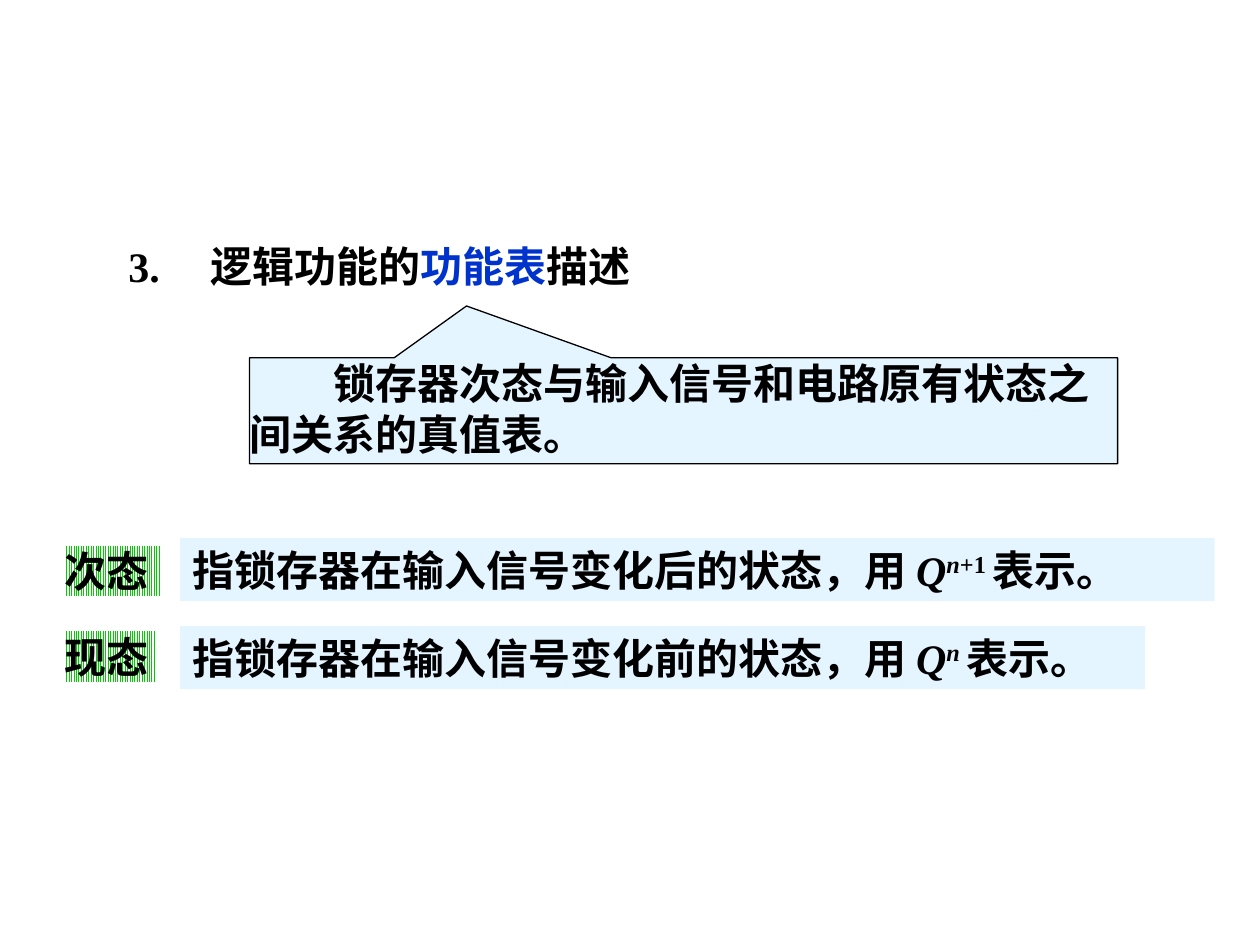
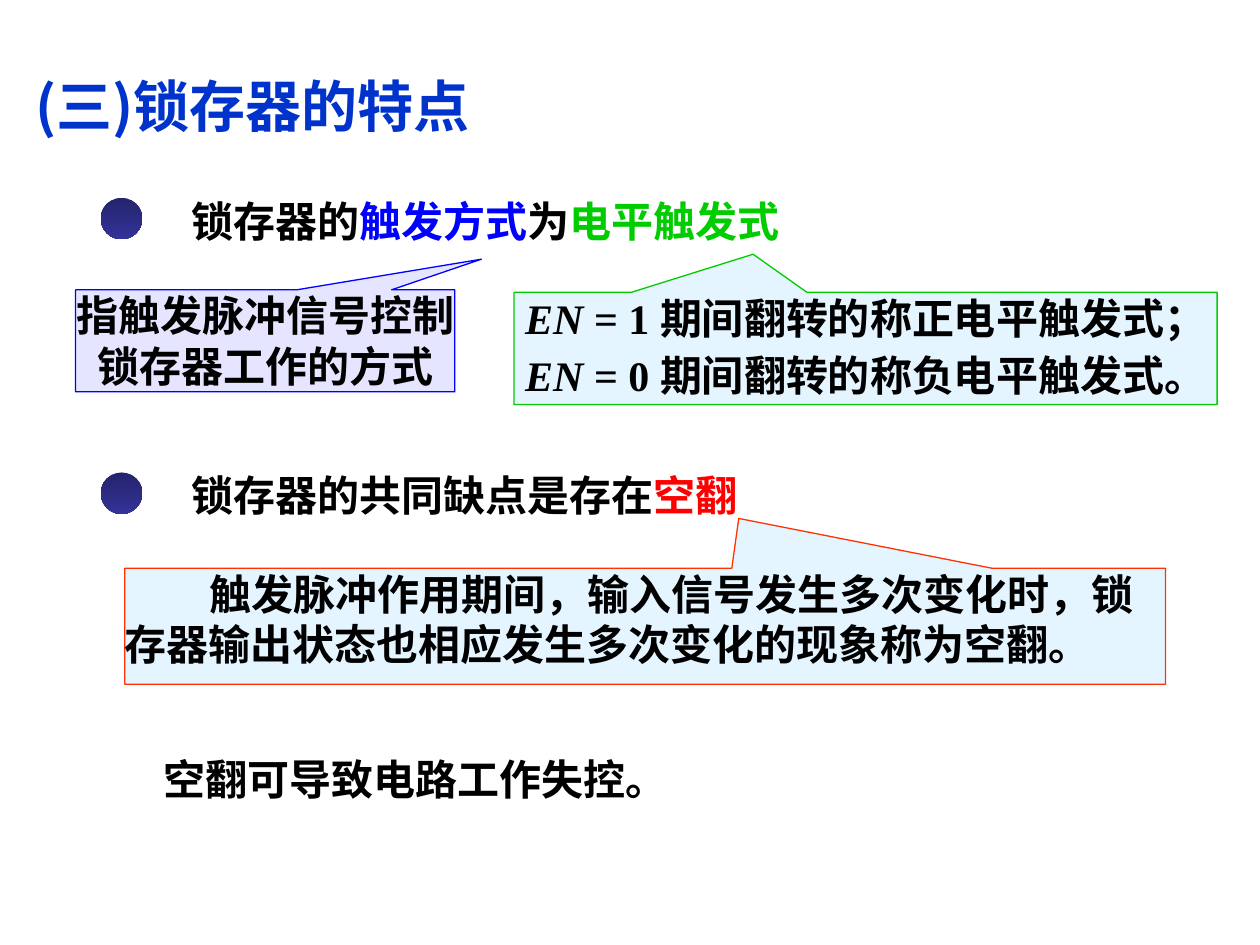
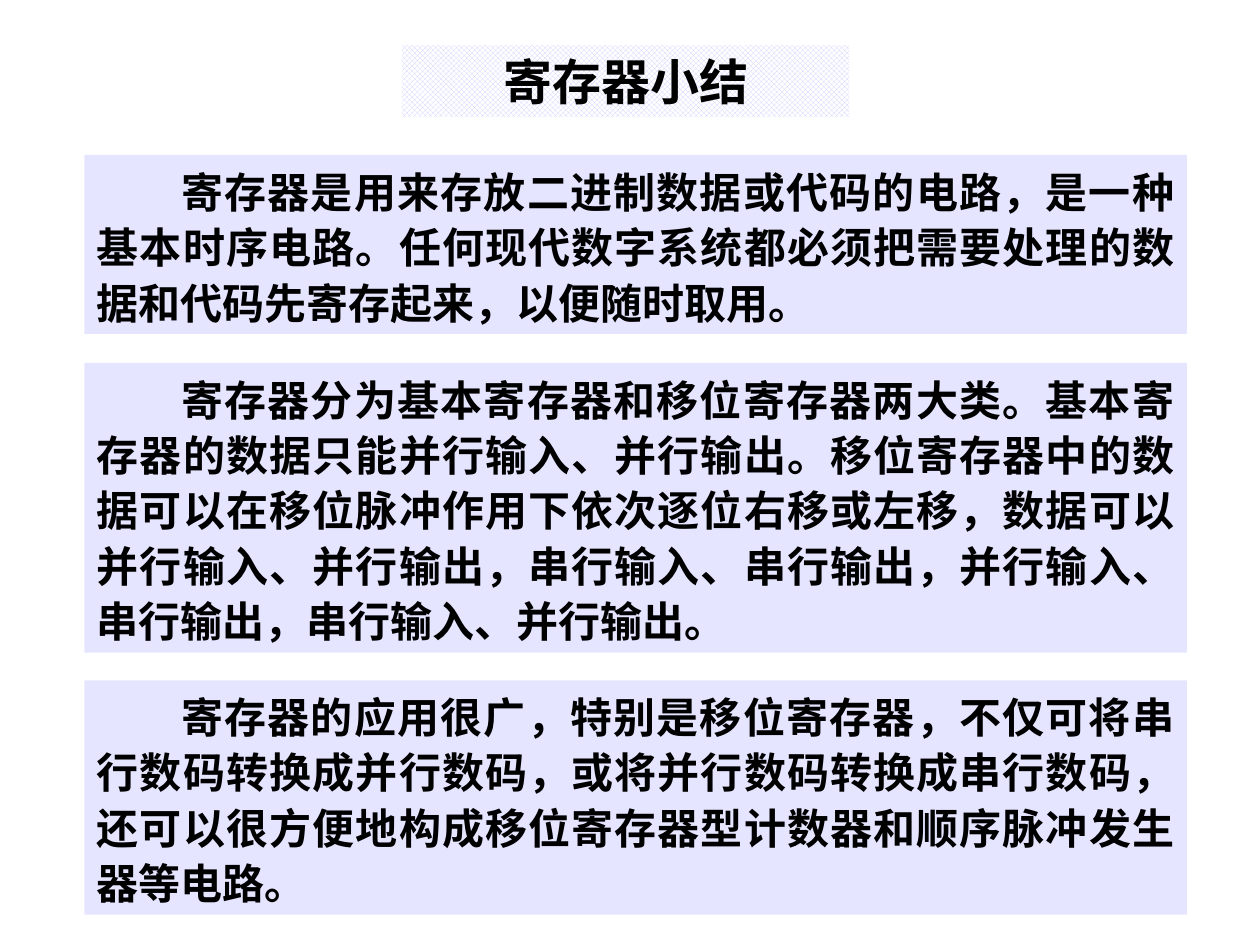
from collections import namedtuple

from lxml.etree import SubElement
from pptx import Presentation
from pptx.dml.color import RGBColor
from pptx.enum.dml import MSO_PATTERN
from pptx.enum.shapes import MSO_SHAPE
from pptx.enum.text import MSO_ANCHOR, PP_ALIGN
from pptx.oxml.ns import qn
from pptx.util import Emu, Pt

EMU_PER_PX = 9144  # 100 px to the inch
BLACK = RGBColor(0x00, 0x00, 0x00)
WHITE = RGBColor(0xFF, 0xFF, 0xFF)
HEADING_BLUE = RGBColor(0x00, 0x33, 0xCC)
BLUE = RGBColor(0x00, 0x00, 0xFF)
GREEN = RGBColor(0x00, 0xCC, 0x00)
RED = RGBColor(0xFF, 0x00, 0x00)
ORANGE = RGBColor(0xFF, 0x33, 0x00)
SKY = RGBColor(0xCC, 0xEC, 0xFF)
LAVENDER = RGBColor(0xCC, 0xCC, 0xFF)
BALL_DARK = RGBColor(0x24, 0x24, 0x6D)
BALL_LIGHT = RGBColor(0x33, 0x33, 0x99)

SERIF = "Times New Roman"
CJK = "Noto Sans CJK SC"
TWO_CHARACTERS = 67

Span = namedtuple("Span", "text color italic baseline", defaults=(BLACK, False, 0))


def px(length):
    return Emu(length * EMU_PER_PX)


class Deck:
    """Holds the presentation, its text style and the slide being filled."""

    def __init__(self):
        self.presentation = Presentation()
        self.presentation.slide_width = px(1000)
        self.presentation.slide_height = px(750)
        self.slide = None

    def new_slide(self):
        blank = self.presentation.slide_layouts[6]
        self.slide = self.presentation.slides.add_slide(blank)

    def set_text(self, shape, paragraphs, size=24, font=SERIF, align=PP_ALIGN.LEFT,
                 indent=0, tab=0, spacing=None, gap=0, padded=True, wrap=True):
        """Fill a shape with paragraphs, each a list of Spans; "\\n" breaks a line."""
        frame = shape.text_frame
        frame.word_wrap = wrap
        frame.vertical_anchor = MSO_ANCHOR.TOP
        if not padded:
            frame.margin_left = frame.margin_right = 0
            frame.margin_top = frame.margin_bottom = 0
        for index, spans in enumerate(paragraphs):
            paragraph = frame.add_paragraph() if index else frame.paragraphs[0]
            paragraph.alignment = align
            if spacing:
                paragraph.line_spacing = spacing
            if index:
                paragraph.space_before = Pt(gap)
            properties = paragraph._p.get_or_add_pPr()
            if indent:
                properties.set("indent", str(px(indent)))
            if tab:
                tabs = SubElement(properties, qn("a:tabLst"))
                SubElement(tabs, qn("a:tab"), pos=str(px(tab)), algn="l")
            for span in spans:
                if span.text == "\n":
                    paragraph.add_line_break()
                else:
                    self.add_run(paragraph, span, size, font)

    def add_run(self, paragraph, span, size, font):
        run = paragraph.add_run()
        run.text = span.text
        run.font.size = Pt(size)
        run.font.bold = True
        run.font.italic = span.italic
        run.font.color.rgb = span.color
        run.font.name = font
        properties = run._r.get_or_add_rPr()
        SubElement(properties, qn("a:ea"), typeface=CJK)
        if span.baseline:
            properties.set("baseline", str(span.baseline * 1000))

    def text(self, box, paragraphs, **style):
        frame = self.slide.shapes.add_textbox(*map(px, box))
        self.set_text(frame, paragraphs, **style)

    def plain_shape(self, kind, box):
        shape = self.slide.shapes.add_shape(kind, *map(px, box))
        shape.shadow.inherit = False
        shape.line.fill.background()
        return shape

    def tint(self, shape, color):
        """Fill a shape with a half-transparent colour."""
        shape.fill.solid()
        shape.fill.fore_color.rgb = color
        solid = shape._element.spPr.find(qn("a:solidFill"))
        SubElement(solid[0], qn("a:alpha"), val="50000")

    def panel(self, box, color, paragraphs, **style):
        panel = self.plain_shape(MSO_SHAPE.RECTANGLE, box)
        self.tint(panel, color)
        self.set_text(panel, paragraphs, **style)

    def patterned(self, box, pattern, color, paragraphs, **style):
        label = self.plain_shape(MSO_SHAPE.RECTANGLE, box)
        label.fill.patterned()
        label.fill.pattern = pattern
        label.fill.fore_color.rgb = color
        label.fill.back_color.rgb = WHITE
        self.set_text(label, paragraphs, **style)

    def callout(self, box, tip, color, outline, paragraphs, **style):
        """Add a speech box; tip is its point, as shares of the size from the centre."""
        callout = self.plain_shape(MSO_SHAPE.RECTANGULAR_CALLOUT, box)
        callout.adjustments[0], callout.adjustments[1] = tip
        self.tint(callout, color)
        callout.line.color.rgb = outline
        callout.line.width = Pt(0.75)
        self.set_text(callout, paragraphs, padded=False, **style)

    def ball(self, left, top):
        ball = self.plain_shape(MSO_SHAPE.OVAL, (left, top, 33, 33))
        ball.fill.gradient()
        ball.fill.gradient_angle = 270
        for stop, color in zip(ball.fill.gradient_stops, (BALL_DARK, BALL_LIGHT)):
            stop.color.rgb = color


def function_table_slide(deck):
    deck.new_slide()
    deck.text((92, 186, 439, 50),
              [[Span("3.\t逻辑功能的"), Span("功能表", HEADING_BLUE), Span("描述")]],
              tab=65)
    deck.callout((198, 284, 689, 84), (-0.25, -0.99), SKY, BLACK,
                 [[Span("锁存器次态与输入信号和电路原有状态之间关系的真值表。")]],
                 indent=TWO_CHARACTERS)

    next_exponent = [Span("n", italic=True, baseline=30), Span("+1 ", baseline=30)]
    present_exponent = [Span("n ", italic=True, baseline=30)]
    states = [
        ("次态", 433, 76, "后", 427, 821, next_exponent),
        ("现态", 501, 73, "前", 497, 766, present_exponent),
    ]
    for name, name_top, name_width, moment, top, width, exponent in states:
        deck.patterned((51, name_top, name_width, 40), MSO_PATTERN.NARROW_VERTICAL,
                       GREEN, [[Span(name)]], padded=False)
        meaning = Span(f"指锁存器在输入信号变化{moment}的状态，用 ")
        deck.panel((143, top, width, 50), SKY,
                   [[meaning, Span("Q", italic=True), *exponent, Span("表示。")]])


def latch_features_slide(deck):
    deck.new_slide()
    deck.text((18, 52, 568, 63), [[Span("(三)锁存器的特点", HEADING_BLUE)]],
              size=32, font=CJK)
    features = [
        (150, [Span("锁存器的"), Span("触发方式", BLUE), Span("为"),
               Span("电平触发式", GREEN)]),
        (368, [Span("锁存器的共同缺点是存在"), Span("空翻", RED)]),
    ]
    for top, feature in features:
        deck.ball(80, top + 7)
        deck.text((142, top, 670, 50), [feature])

    deck.callout((99, 451, 826, 92), (0.09, -0.93), SKY, ORANGE,
                 [[Span("触发脉冲作用期间，输入信号发生多次变化时，"
                        "锁存器输出状态也相应发生多次变化的现象称为空翻。")]],
                 font=CJK, indent=TWO_CHARACTERS)
    deck.panel((90, 593, 758, 50), WHITE, [[Span("空翻可导致电路工作失控。")]],
               font=CJK, indent=30)
    deck.callout((60, 230, 301, 81), (0.57, -0.8), LAVENDER, BLUE,
                 [[Span("指触发脉冲信号控制"), Span("\n"), Span("锁存器工作的方式")]],
                 align=PP_ALIGN.CENTER, wrap=False)
    levels = [("1", "正", "；"), ("0", "负", "。")]
    deck.callout((408, 232, 558, 89), (-0.16, -0.84), SKY, GREEN,
                 [[Span("EN ", italic=True),
                   Span(f"= {level} 期间翻转的称{sign}电平触发式{stop}")]
                  for level, sign, stop in levels],
                 align=PP_ALIGN.CENTER, gap=4, wrap=False)


def register_summary_slide(deck):
    deck.new_slide()
    deck.patterned((319, 36, 355, 57), MSO_PATTERN.TRELLIS, LAVENDER,
                   [[Span("寄存器小结")]], size=28, align=PP_ALIGN.CENTER)
    points = [
        (123, 142, "寄存器是用来存放二进制数据或代码的电路，是一种基本时序电路。"
                   "任何现代数字系统都必须把需要处理的数据和代码先寄存起来，以便随时取用。"),
        (288, 230, "寄存器分为基本寄存器和移位寄存器两大类。"
                   "基本寄存器的数据只能并行输入、并行输出。"
                   "移位寄存器中的数据可以在移位脉冲作用下依次逐位右移或左移，"
                   "数据可以并行输入、并行输出，串行输入、串行输出，"
                   "并行输入、串行输出，串行输入、并行输出。"),
        (540, 186, "寄存器的应用很广，特别是移位寄存器，"
                   "不仅可将串行数码转换成并行数码，或将并行数码转换成串行数码，"
                   "还可以很方便地构成移位寄存器型计数器和顺序脉冲发生器等电路。"),
    ]
    for top, height, point in points:
        deck.panel((67, top, 875, height), LAVENDER, [[Span(point)]],
                   align=PP_ALIGN.JUSTIFY, indent=TWO_CHARACTERS, spacing=1.1)


def main():
    deck = Deck()
    function_table_slide(deck)
    latch_features_slide(deck)
    register_summary_slide(deck)
    deck.presentation.save("out.pptx")


if __name__ == "__main__":
    main()
